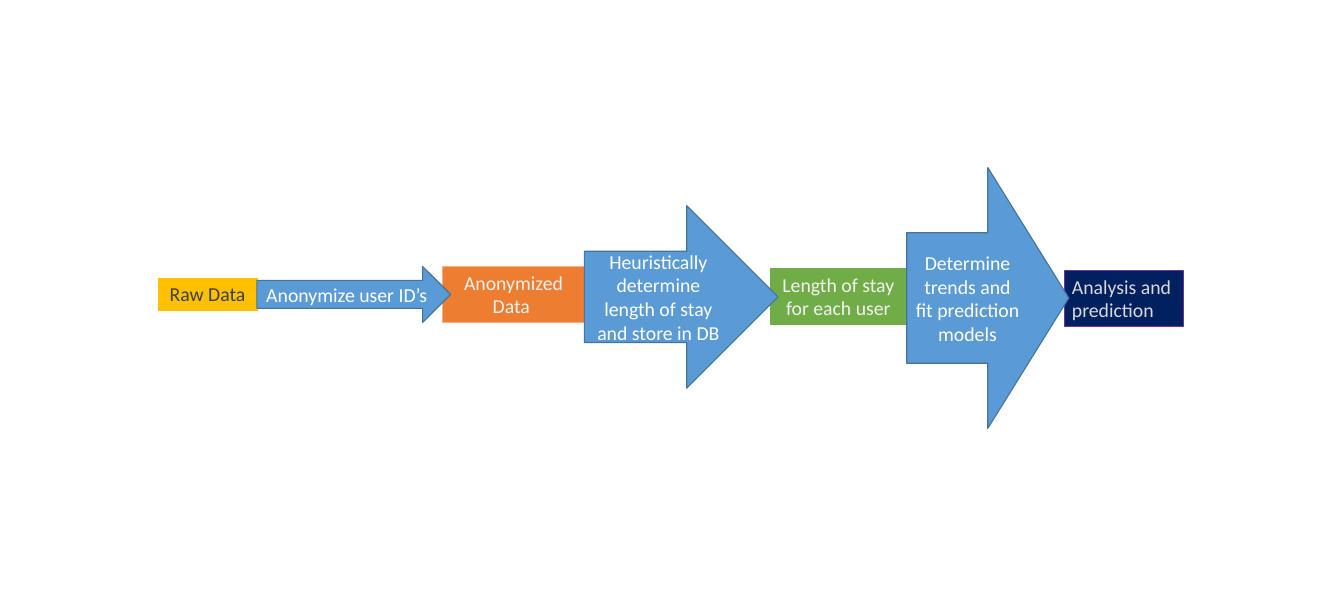
from pptx import Presentation
from pptx.dml.color import RGBColor
from pptx.enum.shapes import MSO_SHAPE as Kind
from pptx.enum.text import MSO_ANCHOR as Anchor, MSO_AUTO_SIZE as Fit, PP_ALIGN as Align
from pptx.util import Pt


def tint(code):
    return RGBColor.from_string(code)


class Flow:
    def __init__(self, slide):
        self.slide = slide
        self.font = {"name": "Calibri", "size": Pt(18)}
        self.arrow_look = {"fill": "5B9BD5", "edge": "43739E", "ink": "FFFFFF"}

    def block(self, kind, area, text, fill, edge, ink, width, frame, align):
        shape = self.slide.shapes.add_shape(kind, *map(Pt, area))
        shape.shadow.inherit = False
        shape.fill.solid()
        shape.fill.fore_color.rgb = tint(fill)
        shape.line.color.rgb = tint(edge)
        shape.line.width = Pt(width)
        body = shape.text_frame
        for key, value in {"word_wrap": True, **frame}.items():
            setattr(body, key, value)
        para = body.paragraphs[0]
        para.alignment = align
        run = para.add_run()
        run.text = text
        for key, value in self.font.items():
            setattr(run.font, key, value)
        run.font.color.rgb = tint(ink)

    def box(self, area, text, fill, edge, ink, align=Align.CENTER):
        frame = {"vertical_anchor": Anchor.TOP, "auto_size": Fit.SHAPE_TO_FIT_TEXT}
        self.block(Kind.RECTANGLE, area, text, fill, edge, ink, 0.75, frame, align)

    def arrow(self, area, text):
        frame = {"vertical_anchor": Anchor.MIDDLE}
        self.block(Kind.RIGHT_ARROW, area, text, width=1, frame=frame,
                   align=Align.CENTER, **self.arrow_look)


def main():
    deck = Presentation()
    deck.slide_width, deck.slide_height = Pt(1224), Pt(540)
    flow = Flow(deck.slides.add_slide(deck.slide_layouts[6]))

    # Data at each stage
    flow.box((144, 253.4, 90, 29), "Raw Data", "FFC000", "FFC000", "404040")
    flow.box((403.2, 242.6, 129, 51), "Anonymized Data ", "ED7D31", "F4B183", "F2F2F2")
    flow.box((701.3, 244.6, 124.5, 51), "Length of stay for each user",
             "70AD47", "70AD47", "F2F2F2")
    flow.box((969.1, 246.4, 108.7, 51), "Analysis and prediction",
             "002060", "7030A0", "D9D9D9", Align.LEFT)

    # Steps between the stages, overlapping the next box
    flow.arrow((234, 242.6, 176.4, 51), "Anonymize user ID’s")
    flow.arrow((825.8, 152.6, 147.6, 237.6), "Determine trends and fit prediction models")
    flow.arrow((532.2, 187.2, 176.4, 166.3),
               "Heuristically determine length of stay and store in DB")

    deck.save("out.pptx")


if __name__ == "__main__":
    main()
